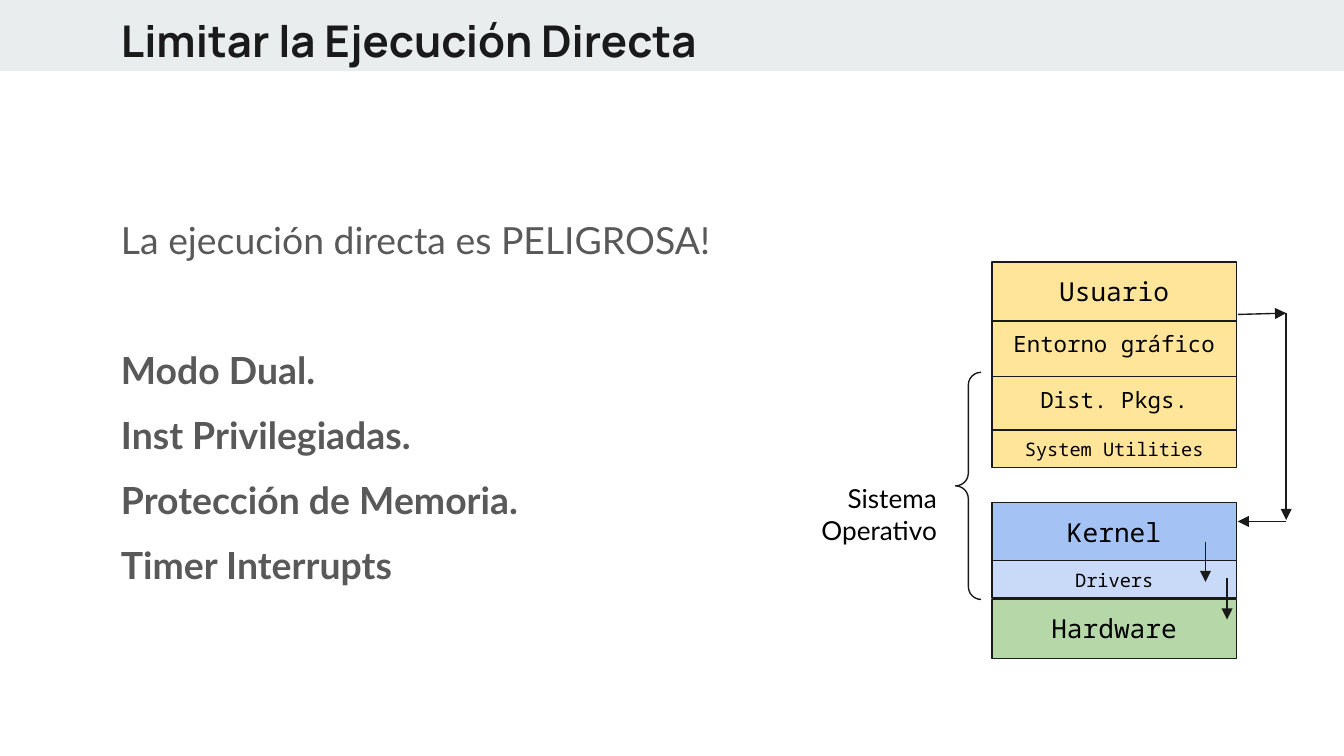
from pptx import Presentation
from pptx.dml.color import RGBColor
from pptx.enum.shapes import MSO_CONNECTOR, MSO_SHAPE
from pptx.enum.text import MSO_ANCHOR, MSO_AUTO_SIZE, PP_ALIGN
from pptx.oxml.ns import qn
from pptx.util import Inches, Pt
from lxml.etree import SubElement

COLORS = {
    "band": "E9EDEE", "ink": "1A1A1A", "body": "595959", "label": "000000",
    "user": "FFE599", "kernel": "A4C2F4", "drivers": "C9DAF8", "hardware": "B6D7A8",
}


def rgb(name):
    return RGBColor.from_string(COLORS[name])


def style_text(s, font, size, color, bold=False, align=PP_ALIGN.LEFT, top=0.1):
    tf = s.text_frame
    tf.word_wrap = True
    tf.auto_size = MSO_AUTO_SIZE.NONE
    tf.vertical_anchor = MSO_ANCHOR.TOP
    tf.margin_left = tf.margin_right = tf.margin_bottom = Inches(0.1)
    tf.margin_top = Inches(top)
    for p in tf.paragraphs:
        p.alignment = align
        for r in p.runs:
            r.font.name = font
            r.font.size = Pt(size)
            r.font.bold = bold
            r.font.color.rgb = rgb(color)


prs = Presentation()
prs.slide_width = Inches(10)
prs.slide_height = Inches(10) * 9 // 16
slide = prs.slides.add_slide(prs.slide_layouts[1])
shapes = slide.shapes

band = shapes.add_shape(MSO_SHAPE.RECTANGLE, 0, 0, Inches(10), Inches(0.53))
band.shadow.inherit = False
band.fill.solid()
band.fill.fore_color.rgb = rgb("band")
band.line.fill.background()
shapes._spTree.insert(2, band._element)

title = shapes.title
title.left, title.top, title.width, title.height = Inches(0.8), Inches(0), Inches(8.41), Inches(0.59)
title.text_frame.text = "Limitar la Ejecución Directa"
style_text(title, "Manrope", 23.4, "ink", bold=True)
title.text_frame.vertical_anchor = MSO_ANCHOR.MIDDLE

body = slide.placeholders[1]
body.left, body.top, body.width, body.height = Inches(0.8), Inches(1.54), Inches(5.08), Inches(3.92)
body.text_frame.text = "\n".join([
    "La ejecución directa es PELIGROSA!",
    "Modo Dual.",
    "Inst Privilegiadas.",
    "Protección de Memoria.",
    "Timer Interrupts",
])
style_text(body, "Lato", 20, "body", bold=True)
for i, p in enumerate(body.text_frame.paragraphs):
    pPr = p._p.get_or_add_pPr()
    pPr.set("marL", "0")
    pPr.set("indent", "0")
    SubElement(pPr, qn("a:buNone"))
    p.line_spacing = 0.95
    p.space_before = Pt((0, 46.8, 12, 12, 12)[i])
body.text_frame.paragraphs[0].runs[0].font.bold = False

layers = [
    ("Hardware", 4.46, 0.44, 14, "hardware"),
    ("Kernel", 3.74, 0.44, 14, "kernel"),
    ("Dist. Pkgs.", 2.77, 0.44, 12, "user"),
    ("Drivers", 4.17, 0.28, 10, "drivers"),
    ("Entorno gráfico", 2.36, 0.44, 12, "user"),
    ("Usuario", 1.95, 0.44, 14, "user"),
    ("System Utilities", 3.2, 0.28, 10, "user"),
]
for text, top, height, size, color in layers:
    s = shapes.add_shape(MSO_SHAPE.RECTANGLE, Inches(7.38), Inches(top), Inches(1.82), Inches(height))
    s.shadow.inherit = False
    s.fill.solid()
    s.fill.fore_color.rgb = rgb(color)
    s.line.color.rgb = rgb("ink")
    s.line.width = Pt(0.75)
    s.text_frame.text = text
    style_text(s, "Noto Sans Mono", size, "label", align=PP_ALIGN.CENTER, top=0.06 if size == 10 else 0.1)

brace = shapes.add_shape(MSO_SHAPE.LEFT_BRACE, Inches(7.11), Inches(2.77), Inches(0.19), Inches(1.69))
brace.shadow.inherit = False
brace.adjustments[0] = brace.adjustments[1] = 0.5
brace.fill.background()
brace.line.color.rgb = rgb("ink")
brace.line.width = Pt(0.75)

label = shapes.add_textbox(Inches(5.88), Inches(3.49), Inches(1.19), Inches(0.91))
label.text_frame.text = "Sistema\vOperativo"
style_text(label, "Lato", 14, "label", align=PP_ALIGN.RIGHT)

arrows = [
    (9.57, 2.33, 9.57, 3.87),
    (9.57, 3.88, 9.21, 3.88),
    (9.21, 2.34, 9.57, 2.33),
    (8.97, 4.03, 8.97, 4.33),
    (9.13, 4.3, 9.13, 4.61),
]
for ends in arrows:
    arrow = shapes.add_connector(MSO_CONNECTOR.STRAIGHT, *[Inches(v) for v in ends])
    arrow.line.color.rgb = rgb("ink")
    arrow.line.width = Pt(0.75)
    SubElement(arrow.line._get_or_add_ln(), qn("a:tailEnd"), type="triangle")
    SubElement(arrow._element.spPr, qn("a:effectLst"))

prs.save("out.pptx")
